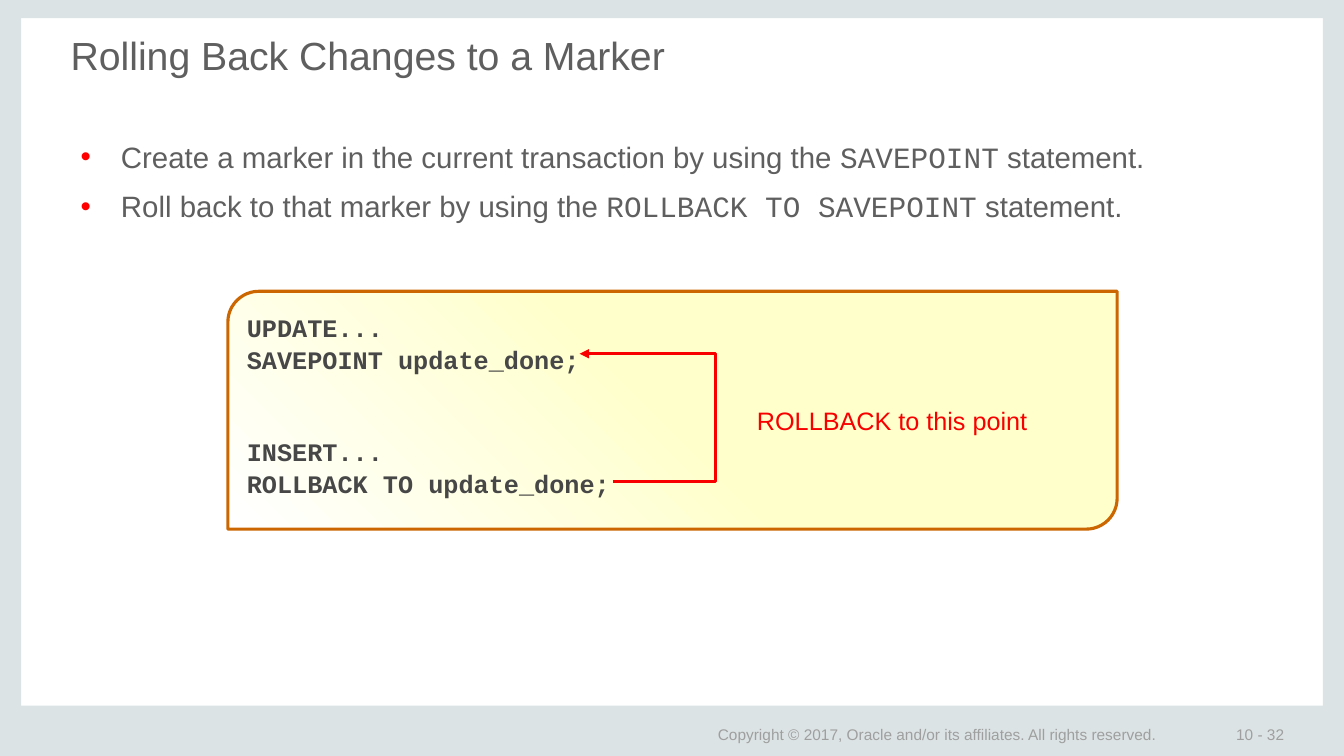
from copy import deepcopy

from pptx import Presentation
from pptx.dml.color import RGBColor
from pptx.enum.shapes import MSO_CONNECTOR as Connector, MSO_SHAPE as Shape
from pptx.enum.text import MSO_ANCHOR as Anchor, MSO_AUTO_SIZE as AutoSize, PP_ALIGN as Align
from pptx.oxml.ns import qn
from pptx.oxml.xmlchemy import OxmlElement
from pptx.util import Inches, Pt

SANS, MONO = "Arial", "Courier New"
GREY, PALE, RED = "5F5F5F", "9F9F9F", "F80000"
BODY_FORMAT = {"size": Pt(21), "name": SANS, "bold": False}
CODE_LINES = [
    ("UPDATE...", 0),
    ("SAVEPOINT update_done;", 0),
    ("INSERT...", 2),
    ("ROLLBACK TO update_done;", 0),
]
BULLETS = [
    [("Create a marker in the current transaction by using the ", SANS),
     ("SAVEPOINT", MONO), (" statement.", SANS)],
    [("Roll back to that marker by using the ", SANS),
     ("ROLLBACK TO SAVEPOINT", MONO), (" statement.", SANS)],
]


def color(value):
    return RGBColor.from_string(value)


def set_values(target, values):
    for name, value in values.items():
        setattr(target, name, value)


def place(shape, box):
    set_values(shape, dict(zip(("left", "top", "width", "height"), map(Inches, box))))


def add_child(parent, tag, **attributes):
    child = OxmlElement(tag)
    for name, value in attributes.items():
        child.set(name, value)
    parent.append(child)
    return child


def set_frame(frame, insets, anchor=Anchor.TOP):
    sides = ("margin_left", "margin_top", "margin_right", "margin_bottom")
    set_values(frame, dict(zip(sides, map(Inches, insets))))
    set_values(frame, {"word_wrap": True, "auto_size": AutoSize.NONE, "vertical_anchor": anchor})


def add_run(paragraph, text, values, hex_color):
    run = paragraph.add_run()
    run.text = text
    set_values(run.font, values)
    run.font.color.rgb = color(hex_color)


def add_label(slide, box, text, size, hex_color, insets, anchor=Anchor.TOP):
    label = slide.shapes.add_textbox(*map(Inches, box))
    set_frame(label.text_frame, insets, anchor)
    add_run(label.text_frame.paragraphs[0], text, {"size": Pt(size), "name": SANS}, hex_color)


def add_border(slide, box):
    left, top, width, height = box
    side, foot = 0.21, 0.5
    bands = [
        (left + width - side, top, side, height),
        (left, top, side, height),
        (left, top + height - foot, width, foot),
        (left, top, width, 0.18),
    ]
    for band in bands:
        shape = slide.shapes.add_shape(Shape.RECTANGLE, *map(Inches, band))
        shape.shadow.inherit = False
        shape.fill.solid()
        shape.fill.fore_color.rgb = color("DCE3E4")
        shape.line.fill.background()


def add_footer(slide, box):
    left, top, width, height = box
    insets = (0.13, 0.07, 0.13, 0.07)
    copyright_line = "Copyright © 2017, Oracle and/or its affiliates. All rights reserved."
    add_label(slide, (left, top, 5.34, height), copyright_line, 11, PALE, insets, Anchor.MIDDLE)
    add_label(slide, (left + width - 1.18, top, 1.18, height), "10 - 32", 11, PALE, insets,
              Anchor.MIDDLE)


def add_title(slide, box):
    title = slide.shapes.title
    place(title, box)
    set_frame(title.text_frame, (0.02,) * 4)
    paragraph = title.text_frame.paragraphs[0]
    paragraph.alignment = Align.LEFT
    add_run(paragraph, "Rolling Back Changes to a Marker", {"size": Pt(28), "name": SANS}, GREY)


def add_bullets(slide, box):
    body = slide.placeholders[1]
    place(body, box)
    frame = body.text_frame
    set_frame(frame, (0.02,) * 4)
    for index, parts in enumerate(BULLETS):
        paragraph = frame.add_paragraph() if index else frame.paragraphs[0]
        set_values(paragraph, {"level": 1, "alignment": Align.LEFT,
                               "space_before": Pt(10 if index else 0)})
        properties = paragraph._p.get_or_add_pPr()
        properties.set("marL", str(Inches(0.5)))
        properties.set("indent", str(Inches(-0.4)))
        add_child(add_child(properties, "a:buClr"), "a:srgbClr", val="FF0000")
        add_child(properties, "a:buFont", typeface=SANS)
        add_child(properties, "a:buChar", char="•")
        for text, font_name in parts:
            add_run(paragraph, text, BODY_FORMAT | {"name": font_name}, GREY)


def fill_gradient(shape, stops, angle):
    shape.fill.gradient()
    stop_list = shape._element.spPr.find(".//" + qn("a:gsLst"))
    stop_list.insert(1, deepcopy(stop_list[0]))
    for stop, (position, hex_color) in zip(shape.fill.gradient_stops, stops):
        stop.position = position
        stop.color.rgb = color(hex_color)
    shape.fill.gradient_angle = angle


def add_return_arrow(slide, begin, end, bend):
    arrow = slide.shapes.add_connector(Connector.ELBOW, *map(Inches, begin + end))
    arrow.line.color.rgb = color(RED)
    arrow.line.width = Pt(2.25)
    properties = arrow._element.spPr
    guides = properties.find(qn("a:prstGeom")).get_or_add_avLst()
    ratio = (bend - begin[0]) / (end[0] - begin[0])
    add_child(guides, "a:gd", name="adj1", fmla=f"val {round(ratio * 100000)}")
    add_child(arrow.line._get_or_add_ln(), "a:tailEnd", type="triangle")
    add_child(properties, "a:effectLst")


def add_code_panel(slide, box):
    left, top, width, height = box
    panel = slide.shapes.add_shape(Shape.ROUND_2_DIAG_RECTANGLE, *map(Inches, box))
    panel.shadow.inherit = False
    panel.adjustments[0] = 0.13
    panel.adjustments[1] = 0
    fill_gradient(panel, [(0, "FFFFCC"), (0.5, "FFFFCC"), (1, "FFFFFF")], 225)
    panel.line.color.rgb = color("CC6600")
    panel.line.width = Pt(2.25)
    frame = panel.text_frame
    set_frame(frame, (0.1, 0.1, 0.01, 0))
    for index, (text, skipped) in enumerate(CODE_LINES):
        paragraph = frame.add_paragraph() if index else frame.paragraphs[0]
        set_values(paragraph, {"alignment": Align.LEFT, "line_spacing": 1.06,
                               "space_before": Pt(21.6 * skipped)})
        add_run(paragraph, text, {"size": Pt(18), "name": MONO, "bold": True}, "474747")
    add_label(slide, (left + 5.15, top + 1.08, 3, 0.4), "ROLLBACK to this point", 18, RED,
              (0.1, 0.05, 0.1, 0.05))
    add_return_arrow(slide, (left + 3.82, top + 1.89), (left + 3.49, top + 0.62), left + 4.84)


def main():
    presentation = Presentation()
    set_values(presentation, {"slide_width": Inches(13.33), "slide_height": Inches(7.5)})
    slide = presentation.slides.add_slide(presentation.slide_layouts[1])
    add_border(slide, (0, 0, 13.33, 7.5))
    add_footer(slide, (6.99, 7.17, 6.32, 0.22))
    add_title(slide, (0.68, 0.29, 11.97, 0.96))
    add_bullets(slide, (0.68, 1.36, 11.97, 0.87))
    add_code_panel(slide, (2.26, 2.89, 8.82, 2.36))
    presentation.save("out.pptx")


if __name__ == "__main__":
    main()
